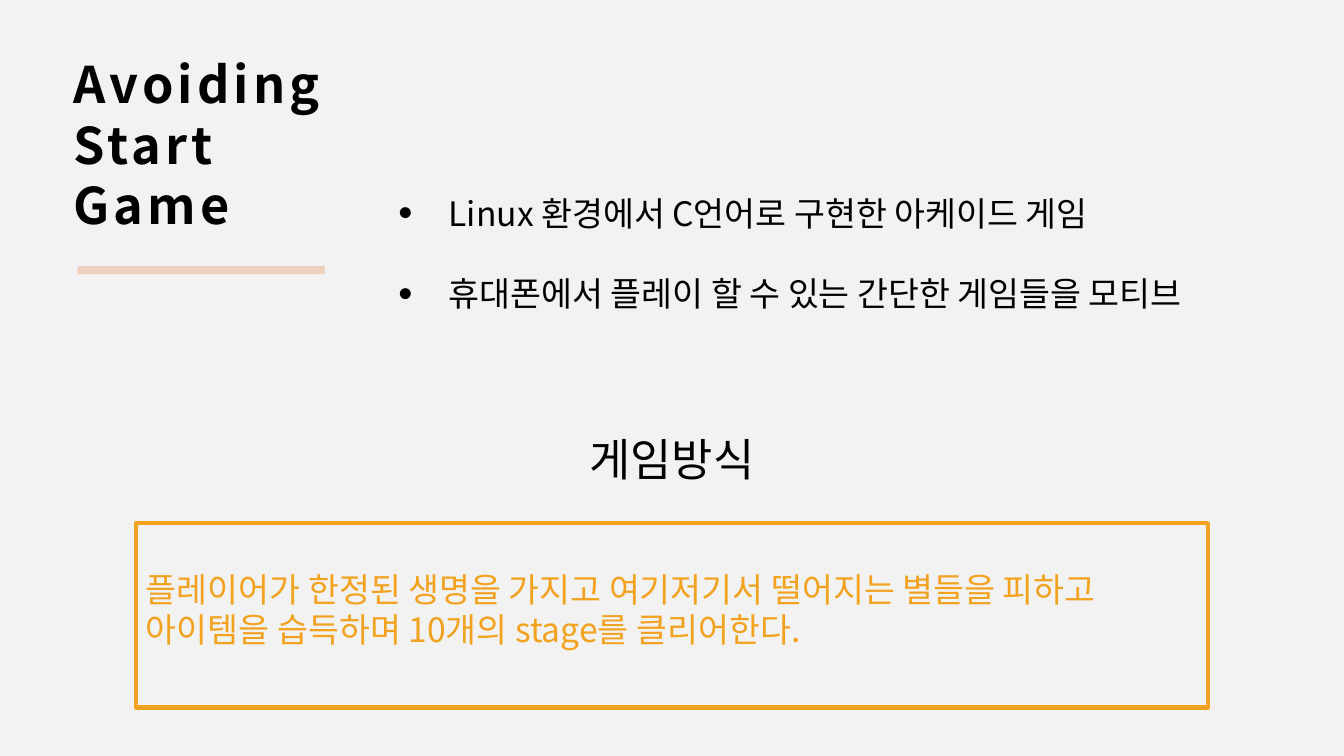
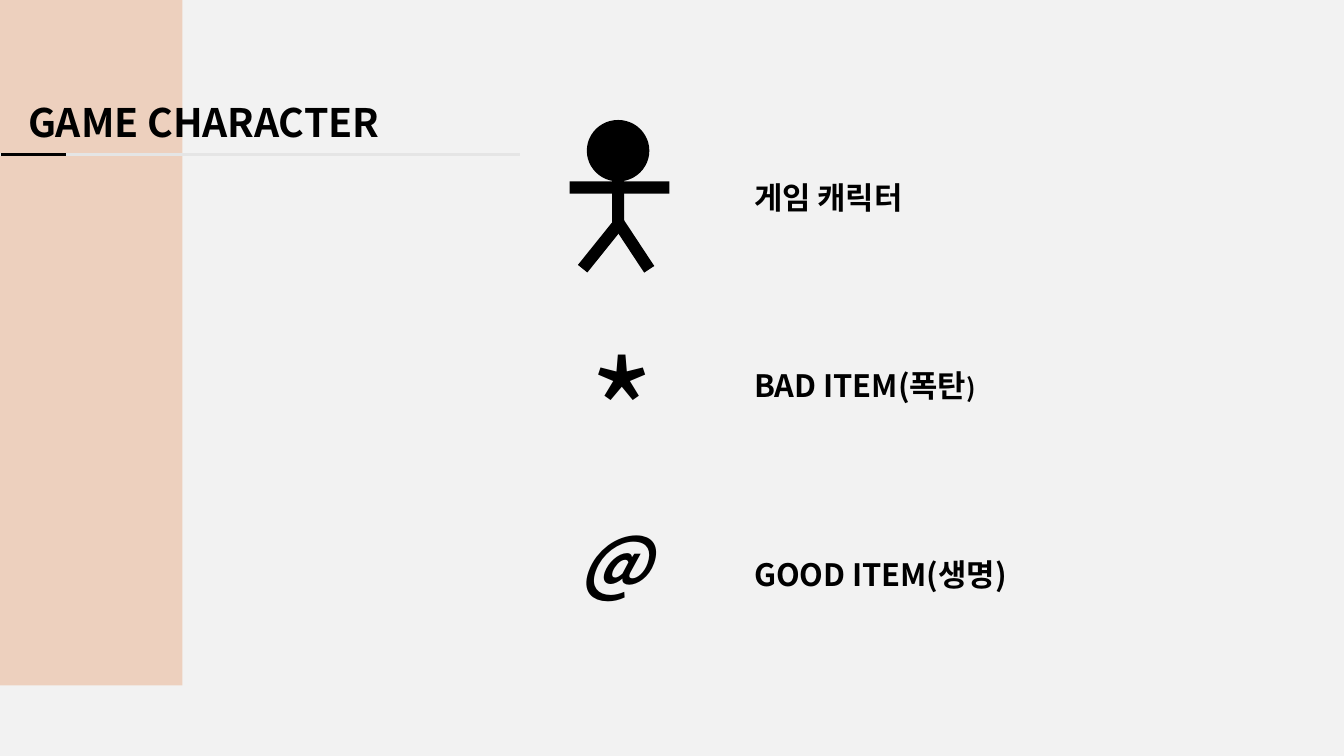
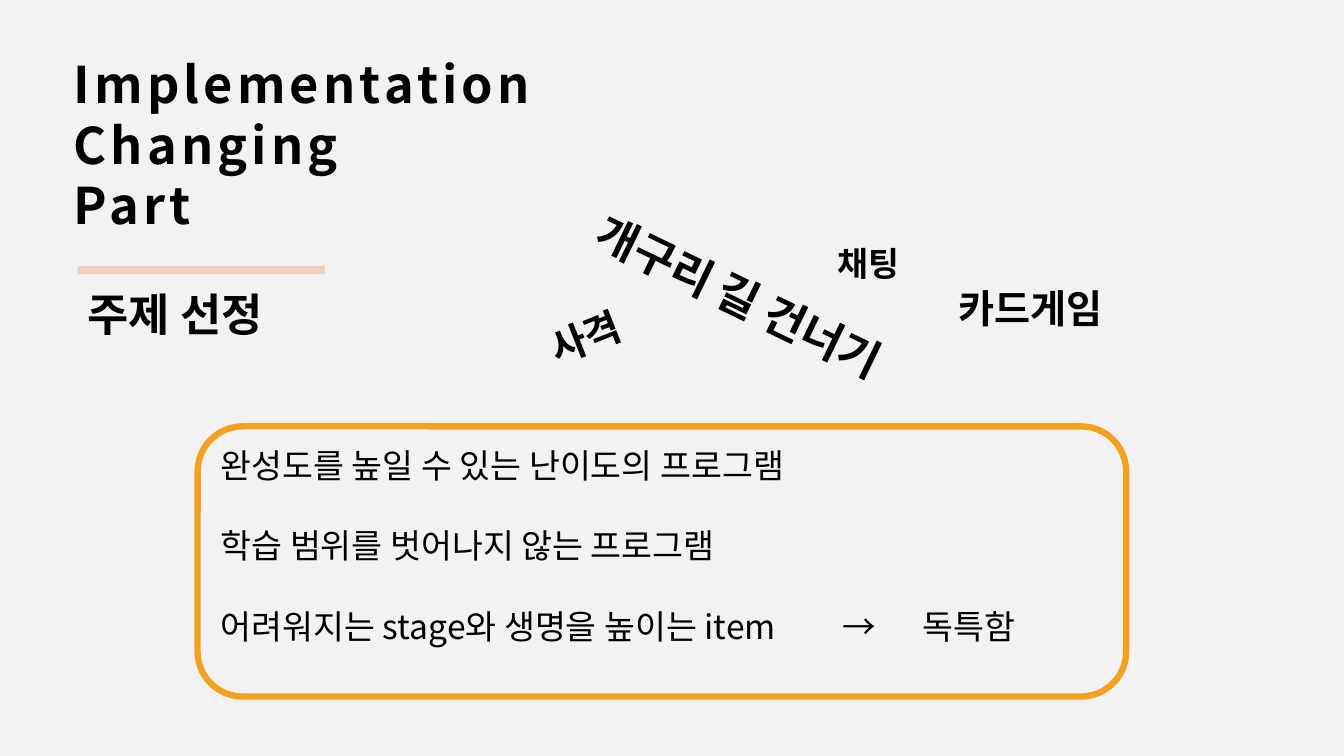
from lxml import etree
from pptx import Presentation
from pptx.dml.color import RGBColor
from pptx.enum.shapes import MSO_CONNECTOR as CONN, MSO_SHAPE as SHAPE
from pptx.enum.text import MSO_ANCHOR as ANCHOR, MSO_AUTO_SIZE as AUTOSIZE, PP_ALIGN as ALIGN
from pptx.oxml.ns import qn
from pptx.util import Inches, Pt

FONT = "Noto Sans CJK KR"
COLORS = {"paper": "F2F2F2", "ink": "000000", "peach": "EDD0BE",
          "orange": "F3A21F", "grey": "E5E5E5"}
TITLE_AND_BODY, TITLE_ONLY = 1, 5
BLANK_LINE = Pt(28.8)  # one line of 24 pt text


def rgb(name):
    return RGBColor.from_string(COLORS[name])


def place(sp, left, top, width, height):
    sp.left, sp.top = Inches(left), Inches(top)
    sp.width, sp.height = Inches(width), Inches(height)


def add_run(p, text, size, color="ink", bold=False, italic=False, font=FONT, spacing=0):
    r = p.add_run()
    r.text = text
    f = r.font
    f.name, f.size, f.bold, f.italic = font, Pt(size), bold, italic
    f.color.rgb = rgb(color)
    rPr = r._r.get_or_add_rPr()
    etree.SubElement(rPr, qn("a:ea")).set("typeface", FONT)
    if spacing:
        rPr.set("spc", str(spacing * 100))


def write_lines(tf, lines, size, align=ALIGN.LEFT, gap=Pt(0), **style):
    """One paragraph per line, with the gap between neighbours."""
    for i, line in enumerate(lines):
        p = tf.add_paragraph() if i else tf.paragraphs[0]
        p.alignment = align
        p.space_before = gap if i else Pt(0)
        add_run(p, line, size, **style)


def add_label(shapes, box, text, size, rotation=0, **style):
    sp = shapes.add_textbox(*map(Inches, box))
    sp.rotation = rotation
    sp.text_frame.word_wrap = True
    write_lines(sp.text_frame, [text], size, **style)
    return sp


def add_block(shapes, kind, box, color, rotation=0):
    sp = shapes.add_shape(kind, *map(Inches, box))
    sp.shadow.inherit = False
    sp.fill.solid()
    sp.fill.fore_color.rgb = rgb(color)
    sp.line.fill.background()
    sp.rotation = rotation


def add_frame(slide, kind, box, width):
    """Outlined box with text from the top; returns its text frame."""
    sp = slide.shapes.add_shape(kind, *map(Inches, box))
    sp.shadow.inherit = False
    sp.fill.background()
    sp.line.color.rgb = rgb("orange")
    sp.line.width = Pt(width)
    tf = sp.text_frame
    tf.word_wrap = True
    tf.vertical_anchor = ANCHOR.TOP
    return tf


def add_rule(shapes, x1, x2, y, color):
    line = shapes.add_connector(CONN.STRAIGHT, Inches(x1), Inches(y), Inches(x2), Inches(y))
    line.line.color.rgb = rgb(color)
    line.line.width = Pt(2)
    etree.SubElement(line._element.spPr, qn("a:effectLst"))


def set_title(slide, box, lines, size, **style):
    title = slide.shapes.title
    place(title, *box)
    tf = title.text_frame
    tf.auto_size = AUTOSIZE.NONE
    tf.vertical_anchor = ANCHOR.TOP
    write_lines(tf, lines, size, bold=True, **style)
    return tf


def add_heading(slide, words):
    """Stacked title words with the peach bar below."""
    add_block(slide.shapes, SHAPE.RECTANGLE, (0.77, 2.64, 2.45, 0.08), "peach")
    set_title(slide, (0.63, 0.48, 5.16, 1.92), words, 36, spacing=3)


def fill_bullets(body, box, lines):
    place(body, *box)
    tf = body.text_frame
    tf.auto_size = AUTOSIZE.NONE
    write_lines(tf, lines, 24, gap=BLANK_LINE)
    for p in tf.paragraphs:
        pPr = p._p.get_or_add_pPr()
        pPr.set("marL", str(Inches(0.5)))
        pPr.set("indent", str(Inches(-0.5)))
        etree.SubElement(pPr, qn("a:buSzPct")).set("val", "120000")
        etree.SubElement(pPr, qn("a:buFont")).set("typeface", "Arial")
        etree.SubElement(pPr, qn("a:buChar")).set("char", "•")


def add_stick_figure(slide, left, top):
    shapes = slide.shapes.add_group_shape().shapes
    parts = [(SHAPE.OVAL, 0.17, 0, 0.62, 0.61, 0),          # head
             (SHAPE.RECTANGLE, 0.42, 0.46, 0.12, 0.63, 0),  # body
             (SHAPE.RECTANGLE, 0.25, 0.96, 0.12, 0.58, 38.8),
             (SHAPE.RECTANGLE, 0.57, 0.95, 0.12, 0.58, 326.6),
             (SHAPE.RECTANGLE, 0, 0.61, 0.99, 0.12, 0)]     # arms
    for kind, x, y, w, h, turn in parts:
        add_block(shapes, kind, (left + x, top + y, w, h), "ink", turn)


def add_overview_slide(prs):
    s = prs.slides.add_slide(prs.slide_layouts[TITLE_AND_BODY])
    add_heading(s, ["Avoiding", "Start", "Game"])
    fill_bullets(s.placeholders[1], (3.85, 1.86, 9.4, 1.31),
                 ["Linux 환경에서 C언어로 구현한 아케이드 게임",
                  "휴대폰에서 플레이 할 수 있는 간단한 게임들을 모티브"])
    tf = add_frame(s, SHAPE.RECTANGLE, (1.35, 5.19, 10.63, 1.83), 3)
    tf.margin_top = Inches(0.45)
    write_lines(tf, ["플레이어가 한정된 생명을 가지고 여기저기서 떨어지는 별들을 피하고",
                     "아이템을 습득하며 10개의 stage를 클리어한다."], 24, color="orange")
    add_label(s.shapes, (4.68, 4.23, 3.97, 0.64), "게임방식", 32,
              align=ALIGN.CENTER, font="Arial")


def add_character_slide(prs):
    s = prs.slides.add_slide(prs.slide_layouts[TITLE_ONLY])
    add_block(s.shapes, SHAPE.RECTANGLE, (0, -0.02, 1.81, 6.82), "peach")
    # The band goes behind the title
    s.shapes._spTree.append(s.shapes.title._element)
    tf = set_title(s, (0.18, 0.69, 6.95, 0.72), ["GAME CHARACTER"], 28)
    tf.paragraphs[0].line_spacing = 1.5
    rules = s.shapes.add_group_shape().shapes
    add_rule(rules, 0, 5.16, 1.53, "grey")
    add_rule(rules, 0.01, 0.65, 1.53, "ink")

    add_stick_figure(s, 5.65, 1.19)
    add_label(s.shapes, (5.75, 3.19, 1.73, 1.78), "*", 100)
    add_label(s.shapes, (5.65, 5.09, 1.73, 0.94), "@", 50, bold=True, italic=True)

    names = ["게임 캐릭터", "BAD ITEM(폭탄", "GOOD ITEM(생명)"]
    labels = [add_label(s.shapes, (7.38, 1.72 + 1.87 * i, 3.39, 0.47), name, 22, bold=True)
              for i, name in enumerate(names)]
    add_run(labels[1].text_frame.paragraphs[0], ")", 18, bold=True)


def add_topic_slide(prs):
    s = prs.slides.add_slide(prs.slide_layouts[TITLE_ONLY])
    add_heading(s, ["Implementation", "Changing", "Part"])
    add_label(s.shapes, (0.77, 2.8, 4.31, 0.64), "주제 선정", 32, bold=True)

    ideas = s.shapes.add_group_shape().shapes
    for text, size, left, top, height, turn in [
            ("사격", 28, 3.22, 3.06, 0.57, 338.3),
            ("채팅", 24, 6.03, 2.36, 0.5, 0),
            ("개구리 길 건너기", 32, 4.75, 2.62, 0.64, 25.9),
            ("카드게임", 28, 7.64, 2.77, 0.57, 0)]:
        add_label(ideas, (left, top, 5.16, height), text, size, turn,
                  bold=True, align=ALIGN.CENTER)

    tf = add_frame(s, SHAPE.ROUNDED_RECTANGLE, (1.96, 4.23, 9.21, 2.68), 4.5)
    write_lines(tf, ["완성도를 높일 수 있는 난이도의 프로그램",
                     "학습 범위를 벗어나지 않는 프로그램",
                     "어려워지는 stage와 생명을 높이는 item\t→\t독특함"], 24, gap=BLANK_LINE)
    tabs = etree.SubElement(tf.paragraphs[-1]._p.get_or_add_pPr(), qn("a:tabLst"))
    for pos in (6.17, 6.96):
        etree.SubElement(tabs, qn("a:tab"), pos=str(Inches(pos)), algn="l")


def main():
    prs = Presentation()
    prs.slide_width, prs.slide_height = Inches(13.33), Inches(7.5)
    fill = prs.slide_master.background.fill
    fill.solid()
    fill.fore_color.rgb = rgb("paper")
    add_overview_slide(prs)
    add_character_slide(prs)
    add_topic_slide(prs)
    prs.save("out.pptx")


if __name__ == "__main__":
    main()
